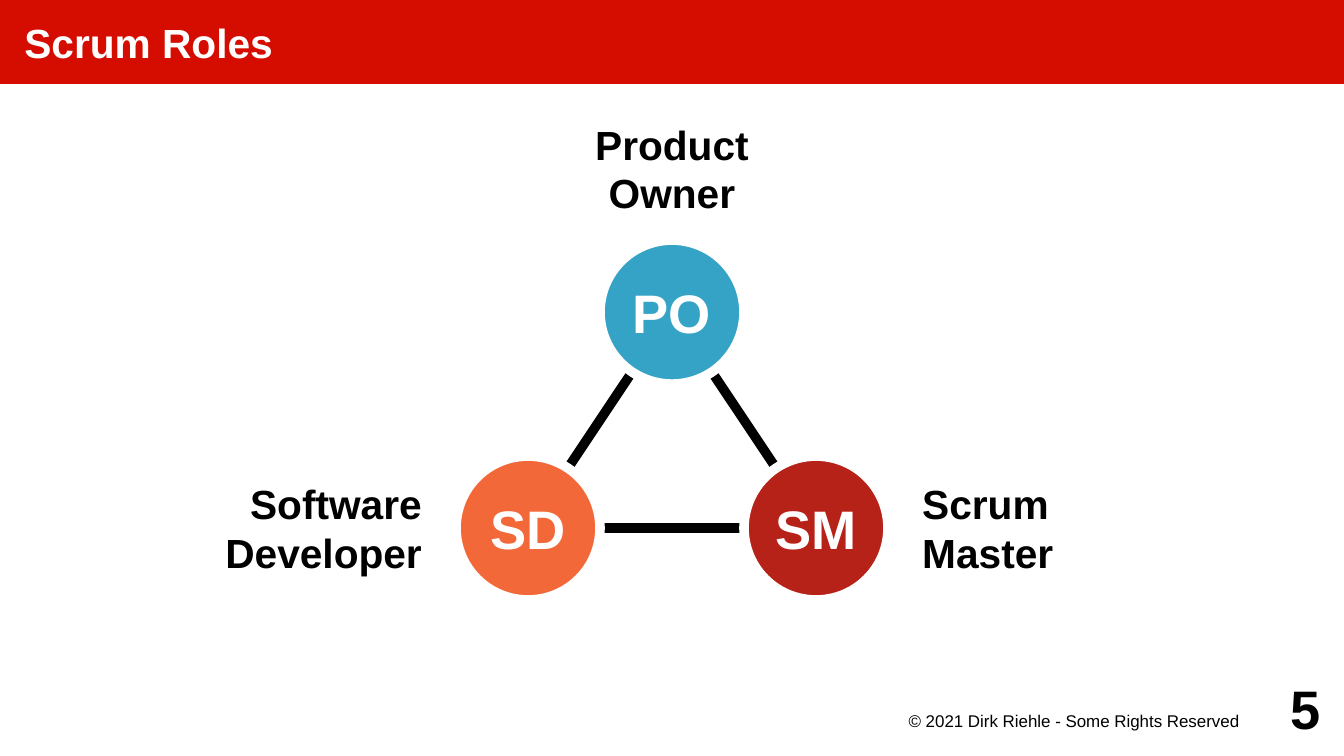
from dataclasses import dataclass

from lxml import etree
from pptx import Presentation
from pptx.dml.color import RGBColor
from pptx.enum.shapes import MSO_CONNECTOR, MSO_SHAPE
from pptx.enum.text import MSO_ANCHOR, PP_ALIGN
from pptx.oxml.ns import qn
from pptx.util import Pt

LEFT, CENTER, RIGHT = PP_ALIGN.LEFT, PP_ALIGN.CENTER, PP_ALIGN.RIGHT
TOP, MIDDLE = MSO_ANCHOR.TOP, MSO_ANCHOR.MIDDLE
RECTANGLE, OVAL = MSO_SHAPE.RECTANGLE, MSO_SHAPE.OVAL
STRAIGHT = MSO_CONNECTOR.STRAIGHT

SLIDE_WIDTH, SLIDE_HEIGHT = 793.44, 446.4


@dataclass(frozen=True)
class Theme:
    font: str = "Arial"
    banner: str = "D50D01"
    light: str = "FFFFFF"
    dark: str = "000000"
    product_owner: str = "34A3C5"
    software_developer: str = "F36838"
    scrum_master: str = "B62118"
    heading_size: int = 24
    large_size: int = 32
    footer_size: int = 10
    line_width: float = 5.67


class SlideBuilder:
    def __init__(self, slide, theme):
        self.slide = slide
        self.theme = theme

    def set_text(self, shape, text, size, color, align, anchor=MIDDLE,
                 insets=(0, 0, 0, 0), bold=True, wrap=True):
        frame = shape.text_frame
        frame.word_wrap = wrap
        frame.vertical_anchor = anchor
        (frame.margin_left, frame.margin_top,
         frame.margin_right, frame.margin_bottom) = map(Pt, insets)
        frame.text = text
        for paragraph in frame.paragraphs:
            paragraph.alignment = align
            for run in paragraph.runs:
                run.font.name = self.theme.font
                run.font.size = Pt(size)
                run.font.bold = bold
                run.font.color.rgb = RGBColor.from_string(color)

    def filled_shape(self, kind, box, fill):
        shape = self.slide.shapes.add_shape(kind, *map(Pt, box))
        shape.shadow.inherit = False
        shape.fill.solid()
        shape.fill.fore_color.rgb = RGBColor.from_string(fill)
        shape.line.fill.background()
        return shape

    def banner(self, text, height):
        shape = self.filled_shape(RECTANGLE, (0, 0, SLIDE_WIDTH, height), self.theme.banner)
        self.set_text(shape, text, self.theme.heading_size, self.theme.light, LEFT,
                      insets=(14.4, 0, 0, 0))

    def edge(self, start, end):
        connector = self.slide.shapes.add_connector(STRAIGHT, *map(Pt, (*start, *end)))
        connector.line.color.rgb = RGBColor.from_string(self.theme.dark)
        connector.line.width = Pt(self.theme.line_width)
        etree.SubElement(connector._element.spPr, qn("a:effectLst"))

    def circle(self, text, center, diameter, fill):
        x, y = center
        box = (x - diameter / 2, y - diameter / 2, diameter, diameter)
        shape = self.filled_shape(OVAL, box, fill)
        shape.line.color.rgb = RGBColor.from_string(self.theme.light)
        shape.line.width = Pt(self.theme.line_width)
        self.set_text(shape, text, self.theme.large_size, self.theme.light, CENTER,
                      insets=(7.2,) * 4, wrap=False)

    def label(self, text, box, size, align, **style):
        shape = self.slide.shapes.add_textbox(*map(Pt, box))
        self.set_text(shape, text, size, self.theme.dark, align, **style)


def main():
    presentation = Presentation()
    presentation.slide_width, presentation.slide_height = Pt(SLIDE_WIDTH), Pt(SLIDE_HEIGHT)
    theme = Theme()
    builder = SlideBuilder(presentation.slides.add_slide(presentation.slide_layouts[6]), theme)

    # Title banner
    builder.banner("Scrum Roles", 49.6)

    # Triangle of roles
    diameter = 85
    middle = SLIDE_WIDTH / 2
    upper, lower = 184.3, 311.8
    owner = (middle, upper)
    developer = (middle - diameter, lower)
    master = (middle + diameter, lower)
    for start, end in ((developer, owner), (owner, master), (developer, master)):
        builder.edge(start, end)
    for text, center, fill in (
        ("SM", master, theme.scrum_master),
        ("PO", owner, theme.product_owner),
        ("SD", developer, theme.software_developer),
    ):
        builder.circle(text, center, diameter, fill)

    # Role names, the side ones equally far from the middle
    label_width, side_gap = 226.8, 142
    for text, left, top, align in (
        ("Product\vOwner", middle - label_width / 2, upper - 1.5 * diameter, CENTER),
        ("Scrum\vMaster", middle + side_gap, lower - diameter / 2, LEFT),
        ("Software\nDeveloper", middle - side_gap - label_width, lower - diameter / 2, RIGHT),
    ):
        builder.label(text, (left, top, label_width, diameter), theme.heading_size, align,
                      insets=(5.7,) * 4)

    # Footer and slide number
    builder.label("© 2021 Dirk Riehle - Some Rights Reserved", (510.3, 418.2, label_width, 21.3),
                  theme.footer_size, RIGHT, anchor=TOP, insets=(0, 1.4, 5.7, 0), bold=False)
    builder.label("5", (722.9, 396.9, 56.7, 42.5), theme.large_size, RIGHT)

    presentation.save("out.pptx")


if __name__ == "__main__":
    main()
